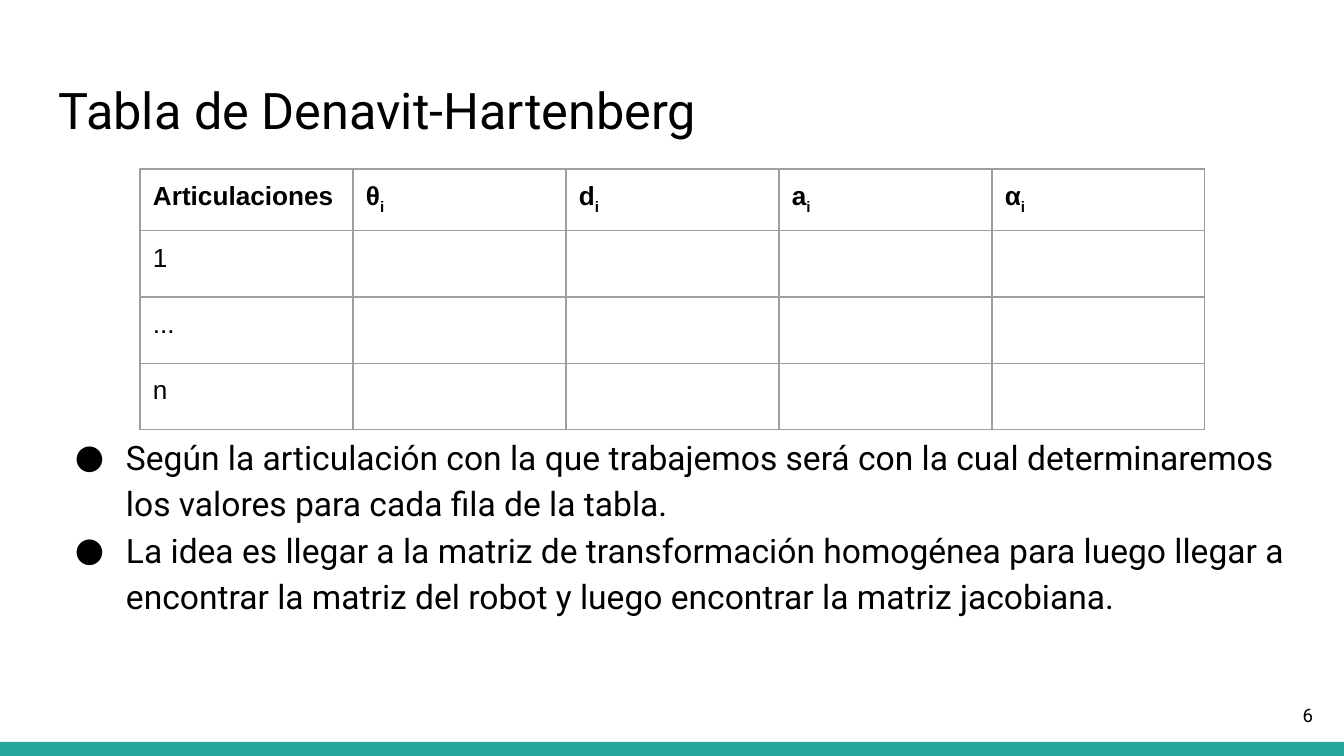
from pptx import Presentation
from pptx.dml.color import RGBColor
from pptx.enum.shapes import MSO_SHAPE
from pptx.enum.text import MSO_ANCHOR, PP_ALIGN
from pptx.oxml import parse_xml
from pptx.oxml.ns import nsdecls
from pptx.util import Emu, Pt

TITLE = "Tabla de Denavit-Hartenberg"
HEADERS = [("Articulaciones", ""), ("θ", "i"), ("d", "i"), ("a", "i"), ("α", "i")]
JOINTS = ["1", "...", "n"]
POINTS = [
    "Según la articulación con la que trabajemos será con la cual determinaremos "
    "los valores para cada fila de la tabla.",
    "La idea es llegar a la matriz de transformación homogénea para luego llegar "
    "a encontrar la matriz del robot y luego encontrar la matriz jacobiana.",
]
PAGE_NUMBER = "6"

BLACK = RGBColor(0x00, 0x00, 0x00)
TEAL = RGBColor(0x26, 0xA6, 0x9A)
GRAY = RGBColor(0x9E, 0x9E, 0x9E)
WIDTH, HEIGHT = 1344, 756
COLUMN, ROW, INSET = 213, 57, 13


def px(value):
    return Emu(round(value * 914400 / 134.4))


def set_font(font, name, size, bold=False):
    font.name, font.size, font.bold = name, Pt(size), bold
    font.color.rgb = BLACK


def set_frame(frame, anchor=MSO_ANCHOR.TOP):
    frame.word_wrap = True
    frame.vertical_anchor = anchor
    frame.margin_left = frame.margin_right = px(INSET)
    frame.margin_top = frame.margin_bottom = px(INSET)


def add_text(page, left, top, width, height, anchor=MSO_ANCHOR.TOP):
    box = page.shapes.add_textbox(px(left), px(top), px(width), px(height))
    set_frame(box.text_frame, anchor)
    return box.text_frame


def add_bullet(para):
    properties = para._p.get_or_add_pPr()
    properties.set("marL", str(px(67)))
    properties.set("indent", str(-px(51)))
    for tag in (
        f'<a:buClr {nsdecls("a")}><a:srgbClr val="{BLACK}"/></a:buClr>',
        f'<a:buFont {nsdecls("a")} typeface="Roboto"/>',
        f'<a:buChar {nsdecls("a")} char="●"/>',
    ):
        properties.append(parse_xml(tag))


def format_cell(cell):
    cell.fill.background()
    cell.margin_left = cell.margin_right = px(INSET)
    cell.margin_top = cell.margin_bottom = px(INSET)
    properties = cell._tc.get_or_add_tcPr()
    for index, side in enumerate(("lnL", "lnR", "lnT", "lnB")):
        properties.insert(index, parse_xml(
            f'<a:{side} {nsdecls("a")} w="{Pt(0.75)}"><a:solidFill>'
            f'<a:srgbClr val="{GRAY}"/></a:solidFill></a:{side}>'))


def write_cell(cell, text, subscript="", bold=False):
    para = cell.text_frame.paragraphs[0]
    set_font(para.font, "Arial", 14, bold)
    para.add_run().text = text
    if subscript:
        span = para.add_run()
        span.text = subscript
        span.font._element.set("baseline", "-25000")
    for span in para.runs:
        set_font(span.font, "Arial", 14, bold)


deck = Presentation()
deck.slide_width, deck.slide_height = px(WIDTH), px(HEIGHT)
page = deck.slides.add_slide(deck.slide_layouts[5])

band = page.shapes.add_shape(MSO_SHAPE.RECTANGLE, 0, px(742), px(WIDTH), px(14))
band.shadow.inherit = False
band.fill.solid()
band.fill.fore_color.rgb = TEAL
band.line.fill.background()

title = page.shapes.title
title.left, title.top, title.width, title.height = px(46), px(66), px(1252), px(90)
title.text = TITLE
set_frame(title.text_frame)
para = title.text_frame.paragraphs[0]
para.alignment = PP_ALIGN.LEFT
set_font(para.font, "Roboto", 27)

body = add_text(page, 46, 418, 1252, 254)
for index, point in enumerate(POINTS):
    para = body.add_paragraph() if index else body.paragraphs[0]
    para.text = point
    para.line_spacing = 1.15
    set_font(para.font, "Roboto", 18)
    add_bullet(para)

columns, rows = len(HEADERS), len(JOINTS) + 1
table = page.shapes.add_table(
    rows, columns, px(140), px(169), px(columns * COLUMN), px(rows * ROW)).table
table.first_row = table.horz_banding = False
for cell in table.iter_cells():
    format_cell(cell)
for column, (symbol, subscript) in enumerate(HEADERS):
    write_cell(table.cell(0, column), symbol, subscript, bold=True)
for row, joint in enumerate(JOINTS, start=1):
    write_cell(table.cell(row, 0), joint)

number = add_text(page, 1246, 686, 80, 58, MSO_ANCHOR.MIDDLE)
para = number.paragraphs[0]
para.text = PAGE_NUMBER
para.alignment = PP_ALIGN.RIGHT
set_font(para.font, "Roboto", 10)

deck.save("out.pptx")
